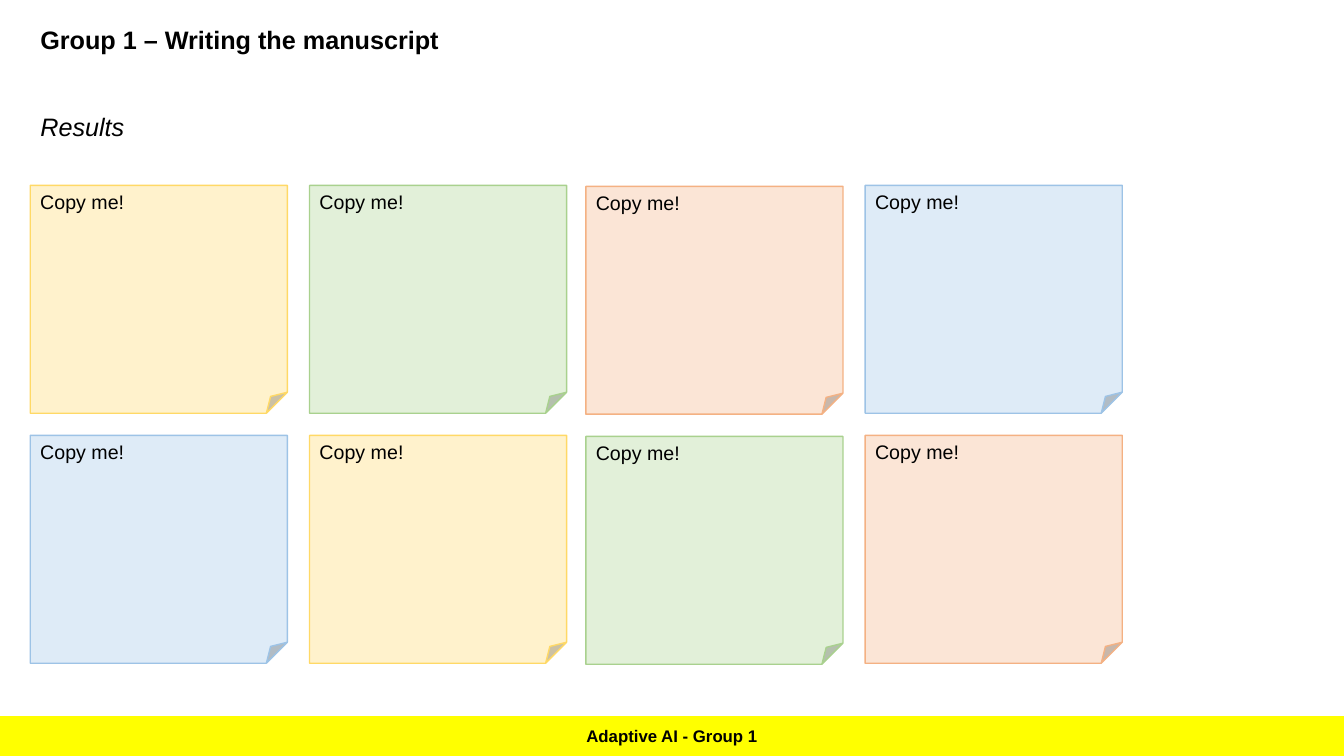
from dataclasses import dataclass
from itertools import product

from lxml.etree import SubElement
from pptx import Presentation
from pptx.dml.color import RGBColor
from pptx.enum.shapes import MSO_SHAPE
from pptx.enum.text import MSO_ANCHOR, MSO_AUTO_SIZE, PP_ALIGN
from pptx.oxml.ns import qn
from pptx.util import Inches, Pt

HUES = {
    "text": "000000", "band": "FFFF00",
    "gold": "FFF2CC", "gold edge": "FFD966",
    "green": "E2F0D9", "green edge": "A9D18E",
    "peach": "FBE5D6", "peach edge": "F4B183",
    "blue": "DEEBF7", "blue edge": "9DC3E6",
}
TONES = ("gold", "green", "peach", "blue")

# Grid of notes, in percent of the slide's size
LEFT, TOP = 2.25, 24.53
WIDE, HIGH = 19.13, 30.13
STEP, PAIR, DROP = 20.78, 41.34, 33.07
NUDGE = 0.13


@dataclass
class Box:
    """Area of the slide, in percent of its width and height."""
    left: float
    top: float
    wide: float
    high: float


@dataclass
class Style:
    """Look of a line of text."""
    size: int
    bold: bool = False
    ital: bool = False
    align: PP_ALIGN = PP_ALIGN.LEFT
    anchor: MSO_ANCHOR = MSO_ANCHOR.TOP


def hue(name: str) -> RGBColor:
    """Look up a colour."""
    return RGBColor.from_string(HUES[name])


def place(shape, box: Box) -> None:
    """Move a shape to its area."""
    shape.left = int(deck.slide_width * box.left / 100)
    shape.top = int(deck.slide_height * box.top / 100)
    shape.width = int(deck.slide_width * box.wide / 100)
    shape.height = int(deck.slide_height * box.high / 100)


def write(shape, text: str, style: Style) -> None:
    """Put one styled line of text in a shape."""
    frame = shape.text_frame
    frame.text = text
    frame.word_wrap = True
    frame.auto_size = MSO_AUTO_SIZE.NONE
    frame.vertical_anchor = style.anchor
    line = frame.paragraphs[0]
    line.alignment = style.align
    line.space_before = Pt(0)
    font = line.runs[0].font
    font.name, font.size = "Arial", Pt(style.size)
    font.bold, font.italic = style.bold, style.ital
    font.color.rgb = hue("text")


def draw(kind: MSO_SHAPE, box: Box, fill: str, edge: str = ""):
    """Add a flat shape, with an outline if an edge colour is named."""
    shape = page.shapes.add_shape(kind, 0, 0, 0, 0)
    place(shape, box)
    shape.shadow.inherit = False
    shape.fill.solid()
    shape.fill.fore_color.rgb = hue(fill)
    if edge:
        shape.line.color.rgb = hue(edge)
        shape.line.width = Pt(1)
    else:
        shape.line.fill.background()
    return shape


def fold(shape, share: float) -> None:
    """Set the size of the folded corner."""
    geom = shape._element.spPr.find(qn("a:prstGeom"))
    guides = geom.get_or_add_avLst()
    SubElement(guides, qn("a:gd"), name="adj", fmla=f"val {share * 100000:.0f}")


def note(row: int, col: int) -> None:
    """Add a sticky note; each row shifts the tones by one."""
    tone = TONES[(col - row) % len(TONES)]
    left = LEFT + PAIR * (col // 2) + STEP * (col % 2)
    top = TOP + DROP * row + (NUDGE if col == 2 else 0)
    shape = draw(MSO_SHAPE.FOLDED_CORNER, Box(left, top, WIDE, HIGH),
                 tone, f"{tone} edge")
    fold(shape, 0.092)
    write(shape, "Copy me!", Style(14))


def plain(shape) -> None:
    """Take the bullet and indent off the first paragraph."""
    props = shape.text_frame.paragraphs[0]._p.get_or_add_pPr()
    props.set("marL", "0")
    props.set("indent", "0")
    SubElement(props, qn("a:buNone"))


deck = Presentation()
deck.slide_width, deck.slide_height = Inches(13.33), Inches(7.5)
page = deck.slides.add_slide(deck.slide_layouts[1])

band = draw(MSO_SHAPE.RECTANGLE, Box(0, 94.72, 100, 5.28), "band")
write(band, "Adaptive AI - Group 1",
      Style(12, bold=True, align=PP_ALIGN.CENTER, anchor=MSO_ANCHOR.MIDDLE))

title, body = page.placeholders
place(title, Box(LEFT, 2.53, 50, 5.39))
write(title, "Group 1 – Writing the manuscript", Style(18, bold=True))
place(body, Box(LEFT, 14, 95.72, 5.39))
write(body, "Results", Style(18, ital=True))
plain(body)

for row, col in product(range(2), range(4)):
    note(row, col)

deck.save("out.pptx")
